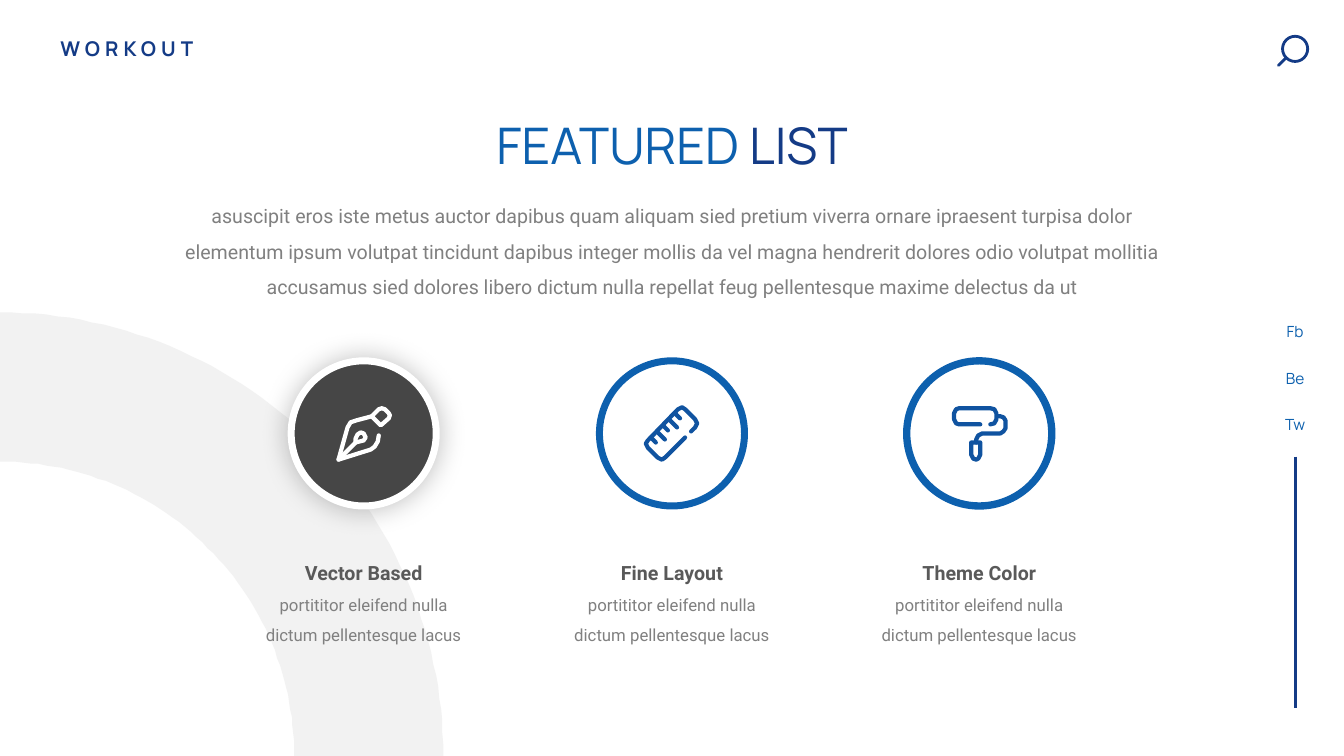
from math import cos, pi, sin

from lxml import etree
from pptx import Presentation
from pptx.dml.color import RGBColor
from pptx.enum.shapes import MSO_CONNECTOR, MSO_SHAPE
from pptx.enum.text import PP_ALIGN
from pptx.oxml import parse_xml
from pptx.oxml.ns import nsdecls, qn
from pptx.util import Pt

PX = 9144  # 100 px to the inch
BLUE, NAVY, MID_BLUE = "0D60AE", "143B86", "1053A0"
GREY, WHITE = "808080", "FFFFFF"


def color(hex_code):
    return RGBColor.from_string(hex_code)


def add_text(area, runs, size, font="Roboto", bold=False, spacing=None, wrap=True):
    """Add a centred text box; runs is a list of (text, colour)."""
    box = page.shapes.add_textbox(*(value * PX for value in area))
    frame = box.text_frame
    frame.margin_left = frame.margin_right = frame.margin_top = frame.margin_bottom = 0
    frame.word_wrap = wrap
    para = frame.paragraphs[0]
    para.alignment = PP_ALIGN.CENTER
    para.line_spacing = spacing
    for text, hex_code in runs:
        span = para.add_run()
        span.text = text
        span.font.size = Pt(size)
        span.font.name = font
        span.font.bold = bold
        span.font.color.rgb = color(hex_code)
    return para


deck = Presentation()
deck.slide_width, deck.slide_height = 1334 * PX, 750 * PX
page = deck.slides.add_slide(deck.slide_layouts[6])

# Quarter ring in the lower left corner
arc_steps = [pi / 2 * i / 60 for i in range(61)]
outer_arc = [(440 * sin(a), 750 - 440 * cos(a)) for a in arc_steps]
inner_arc = [(292 * sin(a), 750 - 292 * cos(a)) for a in reversed(arc_steps)]
builder = page.shapes.build_freeform(*outer_arc[0], scale=PX)
builder.add_line_segments(outer_arc[1:] + inner_arc, close=True)
ring = builder.convert_to_shape()
ring.shadow.inherit = False
ring.fill.solid()
ring.fill.fore_color.rgb = color("F2F2F2")
ring.line.fill.background()

# Circles: left, top, size, fill, line colour, line width
circles = [
    (289, 358, 144, "464646", WHITE, 5),
    (595, 358, 144, WHITE, BLUE, 5),
    (900, 358, 144, WHITE, BLUE, 5.25),
    (1273, 36, 25, WHITE, NAVY, 2),
]
for left, top, size, fill, line, width in circles:
    circle = page.shapes.add_shape(
        MSO_SHAPE.OVAL, left * PX, top * PX, size * PX, size * PX)
    circle.shadow.inherit = False
    circle.fill.solid()
    circle.fill.fore_color.rgb = color(fill)
    circle.line.color.rgb = color(line)
    circle.line.width = Pt(width)
    if line == WHITE:
        effects = circle._element.spPr.find(qn("a:effectLst"))
        effects.append(parse_xml(
            f'<a:outerShdw {nsdecls("a")} blurRad="{Pt(20)}" dist="0" dir="0" algn="ctr" '
            'rotWithShape="0"><a:srgbClr val="000000"><a:alpha val="25000"/></a:srgbClr>'
            '</a:outerShdw>'))

# Each icon is a list of strokes: closed, points
pen = [
    (False, [(376, 432), (375, 438), (372, 443), (368, 446), (336, 456),
             (345, 424), (348, 419), (354, 417), (369, 413)]),
    (False, [(336, 456), (353, 439)]),
    (True, [(353, 439), (353, 435), (355, 431), (358, 429), (361, 430),
            (363, 434), (361, 437), (357, 438)]),
    (True, [(369, 413), (376, 406), (379, 405), (382, 406), (386, 410),
            (387, 412), (386, 415), (378, 422)]),
]
ruler = [
    (False, [(680, 434), (660, 454), (657, 456), (653, 454), (643, 444),
             (641, 440), (643, 437), (673, 406), (677, 404), (680, 406),
             (690, 416), (692, 420), (690, 424), (686, 428)]),
]
for i in range(5):
    x, y, depth = 647 + 6 * i, 435 - 6 * i, (4, 7)[i % 2]
    ruler.append((False, [(x, y), (x + depth, y + depth)]))
roller = [
    (False, [(973, 421), (952, 421), (949, 420), (947, 416), (947, 410),
             (949, 406), (952, 405), (983, 405), (987, 406), (989, 410),
             (989, 416), (987, 420), (983, 421)]),
    (False, [(990, 413), (993, 413), (996, 414), (998, 417), (998, 425),
             (996, 428), (993, 430), (975, 430), (971, 432), (969, 436), (969, 439)]),
    (True, [(964, 439), (973, 439), (973, 451), (971, 455), (969, 456),
            (966, 455), (964, 451)]),
]
search_handle = [(False, [(1276, 58), (1269, 65)])]
icons = [(pen, WHITE, 3), (ruler, MID_BLUE, 3), (roller, MID_BLUE, 3),
         (search_handle, NAVY, 2)]
for strokes, hex_code, width in icons:
    builder = page.shapes.build_freeform(*strokes[0][1][0], scale=PX)
    for i, (closed, points) in enumerate(strokes):
        if i:
            builder.move_to(*points[0])
        builder.add_line_segments(points[1:], close=closed)
    icon = builder.convert_to_shape()
    icon.shadow.inherit = False
    icon.fill.background()
    icon.line.color.rgb = color(hex_code)
    icon.line.width = Pt(width)
    outline = icon.line._get_or_add_ln()
    outline.set("cap", "rnd")
    etree.SubElement(outline, qn("a:round"))

# Header and introduction
wordmark = add_text((60, 36, 140, 28), [("WORKOUT", NAVY)], 14.5, "Manrope",
                    bold=True, wrap=False)
wordmark.alignment = PP_ALIGN.LEFT
wordmark.runs[0].font._element.set("spc", "360")
add_text((483, 113, 368, 61), [("FEATURED ", BLUE), ("LIST", NAVY)], 36, "Manrope",
         wrap=False)
add_text((171, 191, 993, 102), [(
    "asuscipit eros iste metus auctor dapibus quam aliquam sied pretium viverra ornare "
    "ipraesent turpisa dolor elementum ipsum volutpat tincidunt dapibus integer mollis da "
    "vel magna hendrerit dolores odio volutpat mollitia accusamus sied dolores libero "
    "dictum nulla repellat feug pellentesque maxime delectus da ut", GREY)],
    14, spacing=1.5)

# Feature captions
for center, title in [(361, "Vector Based"), (667, "Fine Layout"), (972, "Theme Color")]:
    add_text((center - 64, 545, 128, 32), [(title, "595959")], 14, bold=True, spacing=1.5)
    add_text((center - 111, 580, 222, 57),
             [("portititor eleifend nulla dictum pellentesque lacus", GREY)],
             12, spacing=1.5)

# Social links and the bar under them
for top, label in [(320, "Fb"), (366, "Be"), (412, "Tw")]:
    add_text((1270, top, 31, 19), [(label, BLUE)], 11, "Manrope")
bar = page.shapes.add_connector(
    MSO_CONNECTOR.STRAIGHT, 1286 * PX, 453 * PX, 1286 * PX, 702 * PX)
bar.line.color.rgb = color(NAVY)
bar.line.width = Pt(2.5)
etree.SubElement(bar._element.spPr, qn("a:effectLst"))

deck.save("out.pptx")
